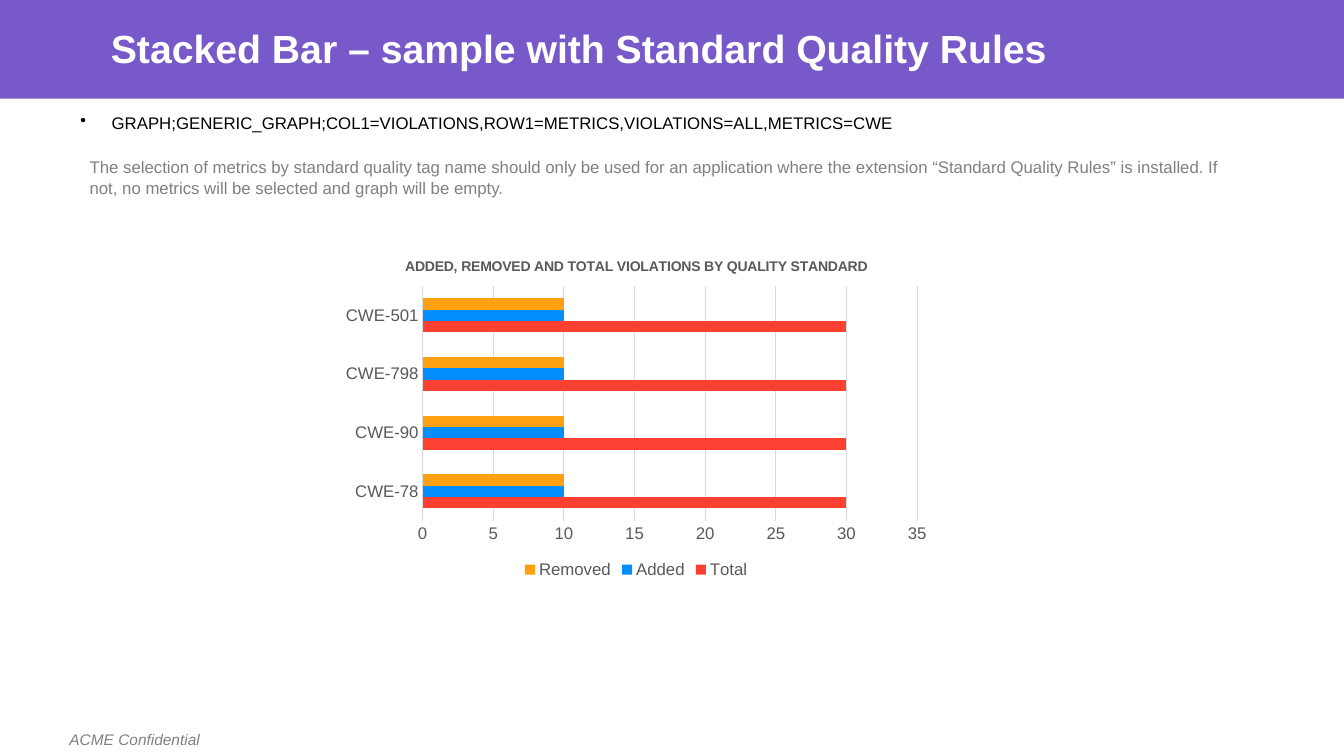
"""Build the slide on violations by quality standard."""
from dataclasses import dataclass, field
from typing import Any

from lxml import etree
from pptx import Presentation
from pptx.chart.data import CategoryChartData
from pptx.dml.color import RGBColor
from pptx.enum.chart import XL_CHART_TYPE, XL_LEGEND_POSITION, XL_TICK_MARK
from pptx.enum.shapes import MSO_SHAPE
from pptx.enum.text import MSO_ANCHOR, MSO_AUTO_SIZE, PP_ALIGN
from pptx.oxml.ns import qn
from pptx.util import Inches, Pt

RECTANGLE = MSO_SHAPE.RECTANGLE
BAR_CLUSTERED = XL_CHART_TYPE.BAR_CLUSTERED
LEGEND_BOTTOM = XL_LEGEND_POSITION.BOTTOM
NO_TICK = XL_TICK_MARK.NONE
TOP, MIDDLE = MSO_ANCHOR.TOP, MSO_ANCHOR.MIDDLE
LEFT = PP_ALIGN.LEFT
NO_FIT = MSO_AUTO_SIZE.NONE

SLIDE_WIDTH, SLIDE_HEIGHT = Inches(13.33), Inches(7.5)
FONT = "Arial"
PURPLE, WHITE, BLACK = "7859C9", "FFFFFF", "000000"
GREY, DARK_GREY, PALE_GREY = "808080", "595959", "D9D9D9"
CATEGORIES = ("CWE-78", "CWE-90", "CWE-798", "CWE-501")
CHART_TITLE = "ADDED, REMOVED AND TOTAL VIOLATIONS BY QUALITY STANDARD"


@dataclass(frozen=True)
class Area:
    """A rectangle in percent of the slide's width and height."""
    left: float
    top: float
    width: float
    height: float

    def lengths(self) -> dict[str, int]:
        """Return the position and size as slide lengths."""
        across, down = SLIDE_WIDTH / 100, SLIDE_HEIGHT / 100
        return {"left": round(self.left * across), "top": round(self.top * down),
                "width": round(self.width * across), "height": round(self.height * down)}


@dataclass(frozen=True)
class TextItem:
    """A text with its place and format."""
    text: str
    area: Area
    size: float
    color: str
    style: dict[str, Any] = field(default_factory=dict)
    spacing: dict[str, Any] = field(default_factory=dict)
    anchor: Any = TOP
    wrap: bool = True
    bullet: bool = False


@dataclass(frozen=True)
class Measure:
    """A chart series with one value for each category."""
    name: str
    value: int
    color: str


BANNER = Area(0, 0, 100, 13.07)
CHART = Area(24.83, 32.13, 45.01, 44.93)
TITLE = TextItem("Stacked Bar – sample with Standard Quality Rules",
                 Area(7.5, 3.73, 86.27, 5.87), 28, WHITE, {"bold": True},
                 {"line_spacing": 0.9}, MIDDLE)
TEXTS = (
    TextItem("ACME Confidential", Area(4.43, 95.87, 11.03, 3.87), 11, GREY,
             {"italic": True}, anchor=MIDDLE, wrap=False),
    TextItem("GRAPH;GENERIC_GRAPH;COL1=VIOLATIONS,ROW1=METRICS,VIOLATIONS=ALL,METRICS=CWE",
             Area(5.25, 14.27, 89.72, 5.87), 12, BLACK,
             spacing={"space_before": Pt(12)}, bullet=True),
    TextItem("The selection of metrics by standard quality tag name should only be used for an "
             "application where the extension “Standard Quality Rules” is installed. If not, "
             "no metrics will be selected and graph will be empty.",
             Area(5.93, 20.13, 87.85, 6.53), 12, GREY),
)
MEASURES = (Measure("Total", 30, "FC4132"), Measure("Added", 10, "048EFD"),
            Measure("Removed", 10, "FDA110"))


def paint(target: Any, color: str) -> None:
    """Give a fill a solid colour."""
    target.solid()
    target.fore_color.rgb = RGBColor.from_string(color)


def apply(target: Any, values: dict[str, Any]) -> None:
    """Set each named attribute on the target."""
    for name, value in values.items():
        setattr(target, name, value)


def set_font(font: Any, size: float, color: str, style: dict[str, Any]) -> None:
    """Set typeface, size, colour and style of a font."""
    apply(font, {"name": FONT, "size": Pt(size), **style})
    paint(font.fill, color)


def add_bullet(para: Any) -> None:
    """Give a paragraph a bullet and a hanging indent."""
    properties = para._p.get_or_add_pPr()
    indent = Inches(0.31)
    properties.set("marL", str(indent))
    properties.set("indent", str(-indent))
    etree.SubElement(properties, qn("a:buChar")).set("char", "•")


def write(box: Any, item: TextItem) -> None:
    """Place a box and write its formatted text."""
    apply(box, item.area.lengths())
    apply(box.text_frame, {"word_wrap": item.wrap, "auto_size": NO_FIT,
                           "vertical_anchor": item.anchor})
    para = box.text_frame.paragraphs[0]
    apply(para, {"alignment": LEFT, **item.spacing})
    if item.bullet:
        add_bullet(para)
    span = para.add_run()
    span.text = item.text
    set_font(span.font, item.size, item.color, item.style)


def add_banner(page: Any) -> None:
    """Draw the banner behind the title."""
    banner = page.shapes.add_shape(RECTANGLE, **BANNER.lengths())
    banner.shadow.inherit = False
    paint(banner.fill, PURPLE)
    banner.line.fill.background()
    page.shapes.title.element.addprevious(banner.element)


def format_axes(chart: Any) -> None:
    """Format both axes and the gridlines of the chart."""
    for axis in (chart.category_axis, chart.value_axis):
        apply(axis, {"major_tick_mark": NO_TICK, "minor_tick_mark": NO_TICK})
        set_font(axis.tick_labels.font, 12, DARK_GREY, {"bold": False})
    chart.category_axis.has_major_gridlines = False
    apply(chart.value_axis, {"minimum_scale": 0, "maximum_scale": 35, "major_unit": 5,
                             "has_major_gridlines": True})
    chart.value_axis.format.line.fill.background()
    for line in (chart.category_axis.format.line,
                 chart.value_axis.major_gridlines.format.line):
        line.width = Pt(0.75)
        paint(line.fill, PALE_GREY)


def add_violations_chart(page: Any) -> None:
    """Add the bar chart of violations by quality standard."""
    values = CategoryChartData()
    values.categories = CATEGORIES
    for measure in MEASURES:
        values.add_series(measure.name, [measure.value] * len(CATEGORIES))
    chart = page.shapes.add_chart(BAR_CLUSTERED, *CHART.lengths().values(), values).chart
    set_font(chart.font, 10, BLACK, {})
    apply(chart, {"has_title": True, "has_legend": True})
    span = chart.chart_title.text_frame.paragraphs[0].add_run()
    span.text = CHART_TITLE
    set_font(span.font, 10, DARK_GREY, {"bold": True})
    chart.chart_title.include_in_layout = False
    apply(chart.legend, {"position": LEGEND_BOTTOM, "include_in_layout": False})
    set_font(chart.legend.font, 12, DARK_GREY, {})
    format_axes(chart)
    plot = chart.plots[0]
    apply(plot, {"gap_width": 219, "overlap": 0, "vary_by_categories": False})
    for series, measure in zip(plot.series, MEASURES):
        paint(series.format.fill, measure.color)


def main() -> None:
    """Build and save the deck."""
    deck = Presentation()
    apply(deck, {"slide_width": SLIDE_WIDTH, "slide_height": SLIDE_HEIGHT})
    page = deck.slides.add_slide(deck.slide_layouts.get_by_name("Title Only"))
    write(page.shapes.title, TITLE)
    add_banner(page)
    for item in TEXTS:
        write(page.shapes.add_textbox(**item.area.lengths()), item)
    add_violations_chart(page)
    deck.save("out.pptx")


if __name__ == "__main__":
    main()
